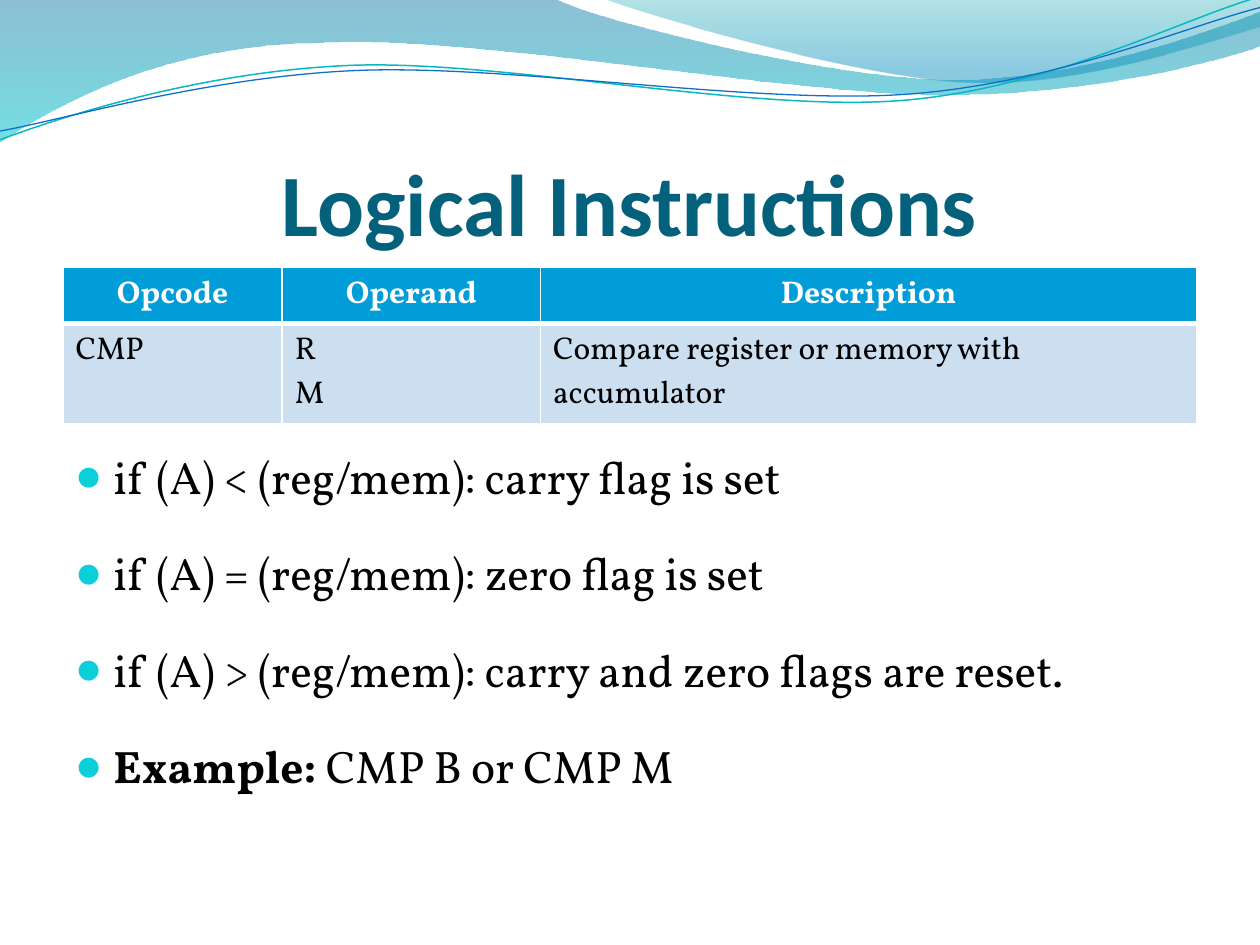
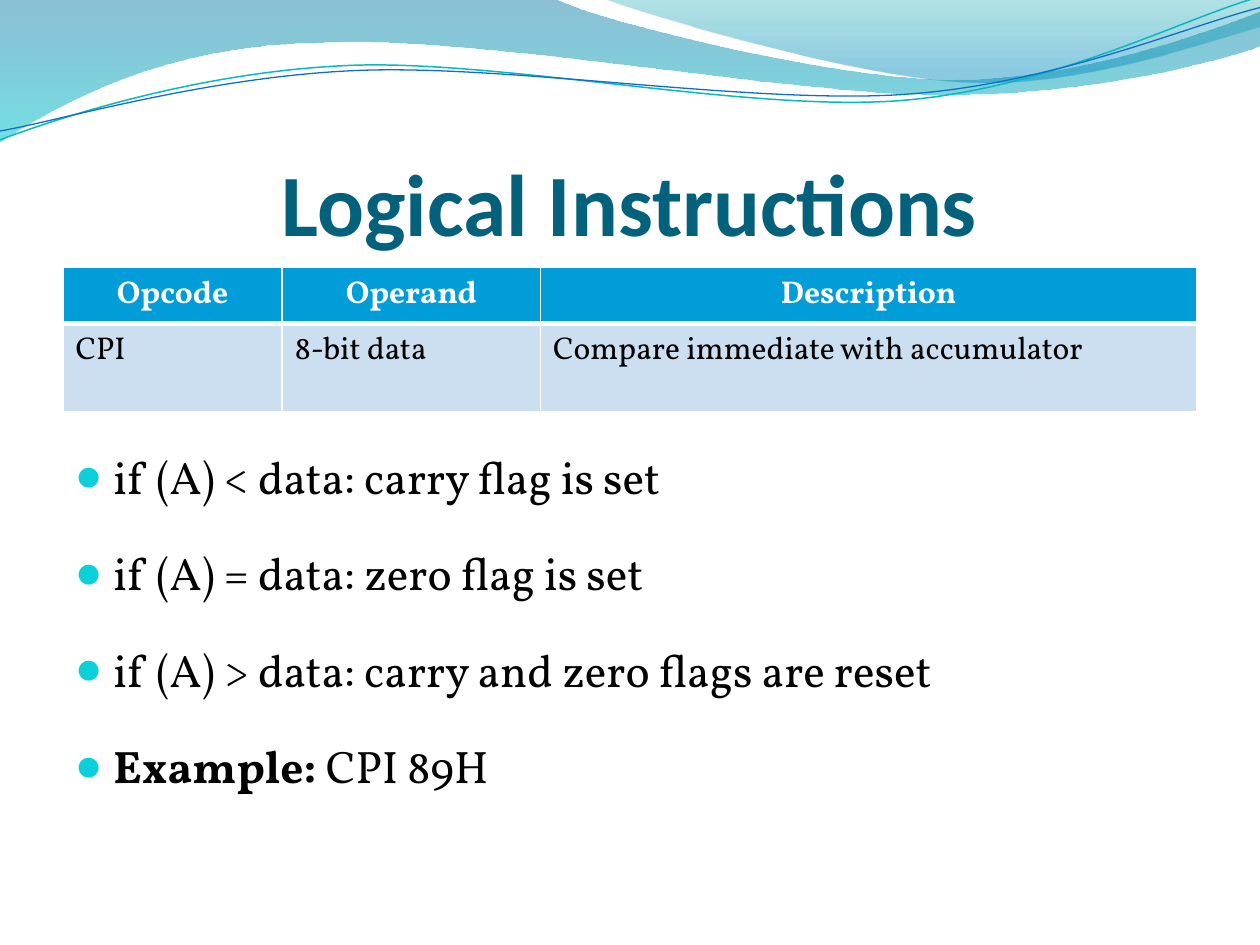
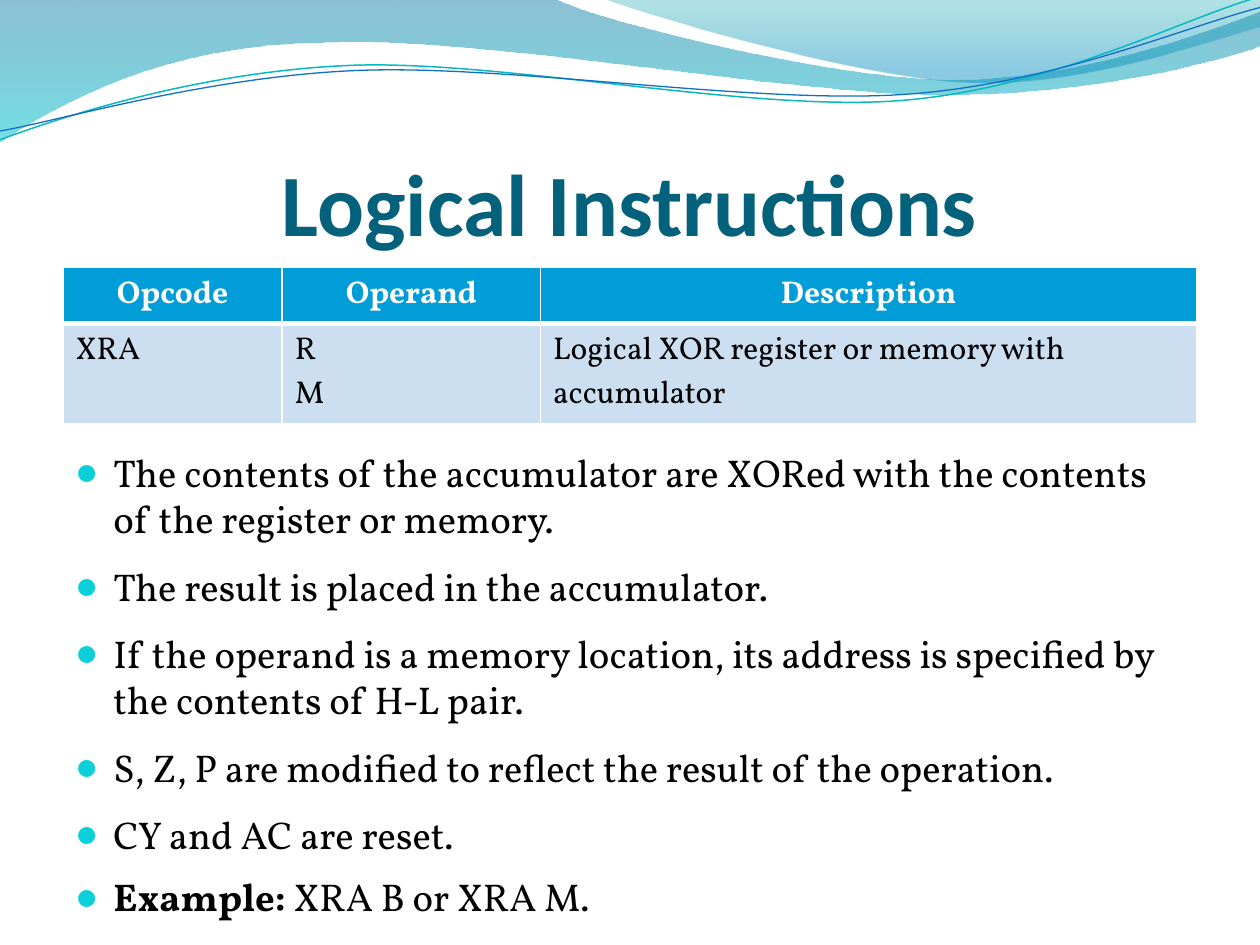
from lxml.etree import SubElement
from pptx import Presentation
from pptx.dml.color import RGBColor
from pptx.enum.text import MSO_ANCHOR, MSO_AUTO_SIZE, PP_ALIGN
from pptx.oxml.ns import qn
from pptx.util import Inches, Pt

COLORS = {
    "title": "04617B", "text": "000000", "white": "FFFFFF", "bullet": "0BD0D9",
    "header": "009DD9", "row": "CCDFF1", "teal_line": "0AB8BF", "blue_line": "0F6FC6",
    "wave_blue": "0074A1", "wave_cyan": "00C6CF", "crest_teal": "00A1A9", "crest_blue": "008BBF",
}
TITLE_FONT, BODY_FONT = "Calibri", "Vollkorn"
TITLE_BOX = (0.5, 0.77, 9, 1.25)
TABLE_BOX = (0.5, 2.12, 9, 1.11)
BODY_BOX = (0.5, 3.51, 9, 3.4)
COL_WIDTHS = (1.74, 2.05, 5.21)
ROW_HEIGHTS = (0.41, 0.7)
HEADINGS = ("Opcode", "Operand", "Description")

WAVE = [
    [(0, -0.01)], [(4.4, -0.01)],
    [(4.76, 0.17), (6.64, 0.63), (7.58, 0.63)], [(8.53, 0.63), (9.58, 0.26), (10, 0.09)],
    [(10.01, 0.36)],
    [(9.83, 0.44), (8.7, 0.76), (7.46, 0.75)], [(6.22, 0.75), (3.82, 0.28), (2.57, 0.34)],
    [(1.29, 0.35), (0.46, 0.83), (-0.01, 1.13)],
]
CREST = [
    [(4.79, -0.01)],
    [(5.09, 0.11), (6.82, 0.62), (7.69, 0.65)], [(8.56, 0.69), (9.61, 0.32), (10, 0.21)],
    [(10, 0)],
]
TEAL_CURVE = [
    [(0, 1.11)],
    [(0.48, 0.93), (1.58, 0.57), (2.77, 0.52)], [(3.95, 0.47), (5.93, 0.89), (7.13, 0.8)],
    [(8.33, 0.71), (9.38, 0.15), (9.98, -0.02)],
]
BLUE_CURVE = [
    [(0, 1.04)],
    [(0.47, 0.96), (1.64, 0.61), (2.83, 0.56)], [(4.03, 0.51), (5.97, 0.83), (7.17, 0.75)],
    [(8.36, 0.67), (9.41, 0.21), (10, 0.06)],
]

SLIDES = [
    dict(row=("CMP", "R\nM", "Compare register or memory with accumulator"),
         points=("if (A) < (reg/mem): carry flag is set",
                 "if (A) = (reg/mem): zero flag is set",
                 "if (A) > (reg/mem): carry and zero flags are reset."),
         example="CMP B or CMP M"),
    dict(row=("CPI", "8-bit data", "Compare immediate with accumulator"),
         points=("if (A) < data: carry flag is set",
                 "if (A) = data: zero flag is set",
                 "if (A) > data: carry and zero flags are reset"),
         example="CPI 89H"),
    dict(row=("XRA", "R\nM", "Logical XOR register or memory with accumulator"),
         points=("The contents of the accumulator are XORed with the contents of the register or memory.",
                 "The result is placed in the accumulator.",
                 "If the operand is a memory location, its address is specified by the contents of H-L pair.",
                 "S, Z, P are modified to reflect the result of the operation.",
                 "CY and AC are reset."),
         example="XRA B or XRA M.", size=22.1, after=12, last_spacing=0.9),
]


def rgb(name):
    return RGBColor.from_string(COLORS[name])


def add_text(p, text, size=18, font=BODY_FONT, color="text", bold=False, align=None):
    if align is not None:
        p.alignment = align
    r = p.add_run()
    r.text = text
    r.font.size, r.font.name, r.font.bold = Pt(size), font, bold
    r.font.color.rgb = rgb(color)


def place(s, box):
    s.left, s.top, s.width, s.height = map(Inches, box)


def add_curve(shapes, segments, closed):
    points = [(Inches(x), Inches(y)) for segment in segments for x, y in segment]
    builder = shapes.build_freeform(*points[0])
    builder.add_line_segments(points[1:], close=closed)
    s = builder.convert_to_shape()
    s.shadow.inherit = False
    steps = iter(list(s.element.iter(qn("a:lnTo"))))
    for segment in segments[1:]:
        group = [next(steps) for _ in segment]
        if len(group) == 3:
            group[0].tag = qn("a:cubicBezTo")
            for step in group[1:]:
                group[0].append(step[0])
                step.getparent().remove(step)
    return s


def add_wave(shapes, segments, stops):
    s = add_curve(shapes, segments, True)
    s.line.fill.background()
    s.fill.gradient()
    s.fill.gradient_angle = 270
    for stop, (position, color, _) in zip(s.fill.gradient_stops, stops):
        stop.position = position
        stop.color.rgb = rgb(color)
    for clr, (_, _, opacity) in zip(s.element.spPr.iter(qn("a:srgbClr")), stops):
        SubElement(clr, qn("a:alpha"), val=str(opacity * 1000))
    return s


def add_curve_line(shapes, segments, color, width):
    s = add_curve(shapes, segments, False)
    s.fill.background()
    s.line.color.rgb = rgb(color)
    s.line.width = Pt(width)
    return s


def decorate_master(prs, slide):
    shapes = slide.shapes
    parts = [
        add_wave(shapes, WAVE, [(0, "wave_blue", 45), (1, "wave_cyan", 55)]),
        add_wave(shapes, CREST, [(0, "crest_teal", 30), (0.8, "crest_blue", 45)]),
        add_curve_line(shapes, TEAL_CURVE, "teal_line", 0.85),
        add_curve_line(shapes, BLUE_CURVE, "blue_line", 0.75),
    ]
    tree = prs.slide_master.element.cSld.spTree
    for i, s in enumerate(parts):
        tree.insert(2 + i, s.element)


def set_layout(layout):
    title, body = layout.placeholders[0], layout.placeholders[1]
    place(title, TITLE_BOX)
    place(body, BODY_BOX)
    tf = title.text_frame
    tf.vertical_anchor = MSO_ANCHOR.BOTTOM
    tf.margin_left = tf.margin_right = tf.margin_bottom = 0
    tf.margin_top = Inches(0.05)
    for s in (title, body):
        s.text_frame.auto_size = MSO_AUTO_SIZE.NONE


def set_borders(cell, **widths):
    tcPr = cell._tc.get_or_add_tcPr()
    for side in "LRTB":
        ln = SubElement(tcPr, qn(f"a:ln{side}"), w=str(Pt(widths.get(side, 1))))
        fill = SubElement(ln, qn("a:solidFill"))
        SubElement(fill, qn("a:srgbClr"), val=COLORS["white"])


def fill_cell(cell, text, fill, **fmt):
    cell.fill.solid()
    cell.fill.fore_color.rgb = rgb(fill)
    tf = cell.text_frame
    for i, line in enumerate(text.split("\n")):
        add_text(tf.add_paragraph() if i else tf.paragraphs[0], line, **fmt)


def add_opcode_table(slide, box, row):
    table = slide.shapes.add_table(2, len(HEADINGS), *map(Inches, box)).table
    for r, height in zip(table.rows, ROW_HEIGHTS):
        r.height = Inches(height)
    for i, width in enumerate(COL_WIDTHS):
        table.columns[i].width = Inches(width)
        head, cell = table.cell(0, i), table.cell(1, i)
        set_borders(head, B=3)
        set_borders(cell, T=3)
        fill_cell(head, HEADINGS[i], "header", color="white", bold=True, align=PP_ALIGN.CENTER)
        fill_cell(cell, row[i], "row")


def set_bullet(p):
    pPr = p._p.get_or_add_pPr()
    pPr.set("marL", str(Inches(0.3)))
    pPr.set("indent", str(-Inches(0.3)))
    SubElement(SubElement(pPr, qn("a:buClr")), qn("a:srgbClr"), val=COLORS["bullet"])
    SubElement(pPr, qn("a:buSzPct"), val="95000")
    SubElement(pPr, qn("a:buFont"), typeface=TITLE_FONT)
    SubElement(pPr, qn("a:buChar"), char="●")


def fill_body(tf, points, example, size=26, after=24, last_spacing=1.0):
    for i in range(len(points) + 1):
        p = tf.add_paragraph() if i else tf.paragraphs[0]
        p.space_before, p.space_after = Pt(0), Pt(after)
        p.line_spacing = 1.0 if i < len(points) else last_spacing
        set_bullet(p)
        if i < len(points):
            add_text(p, points[i], size=size)
        else:
            add_text(p, "Example:", size=size, bold=True)
            add_text(p, " " + example, size=size)


def add_instruction_slide(prs, layout, row, **body):
    slide = prs.slides.add_slide(layout)
    add_text(slide.shapes.title.text_frame.paragraphs[0], "Logical Instructions", size=50,
             font=TITLE_FONT, color="title", bold=True, align=PP_ALIGN.CENTER)
    add_opcode_table(slide, TABLE_BOX, row)
    fill_body(slide.placeholders[1].text_frame, **body)
    return slide


def main():
    prs = Presentation()
    prs.slide_width, prs.slide_height = Inches(10), Inches(7.5)
    layout = prs.slide_layouts[1]
    set_layout(layout)
    slides = [add_instruction_slide(prs, layout, **content) for content in SLIDES]
    decorate_master(prs, slides[0])
    prs.save("out.pptx")


if __name__ == "__main__":
    main()
